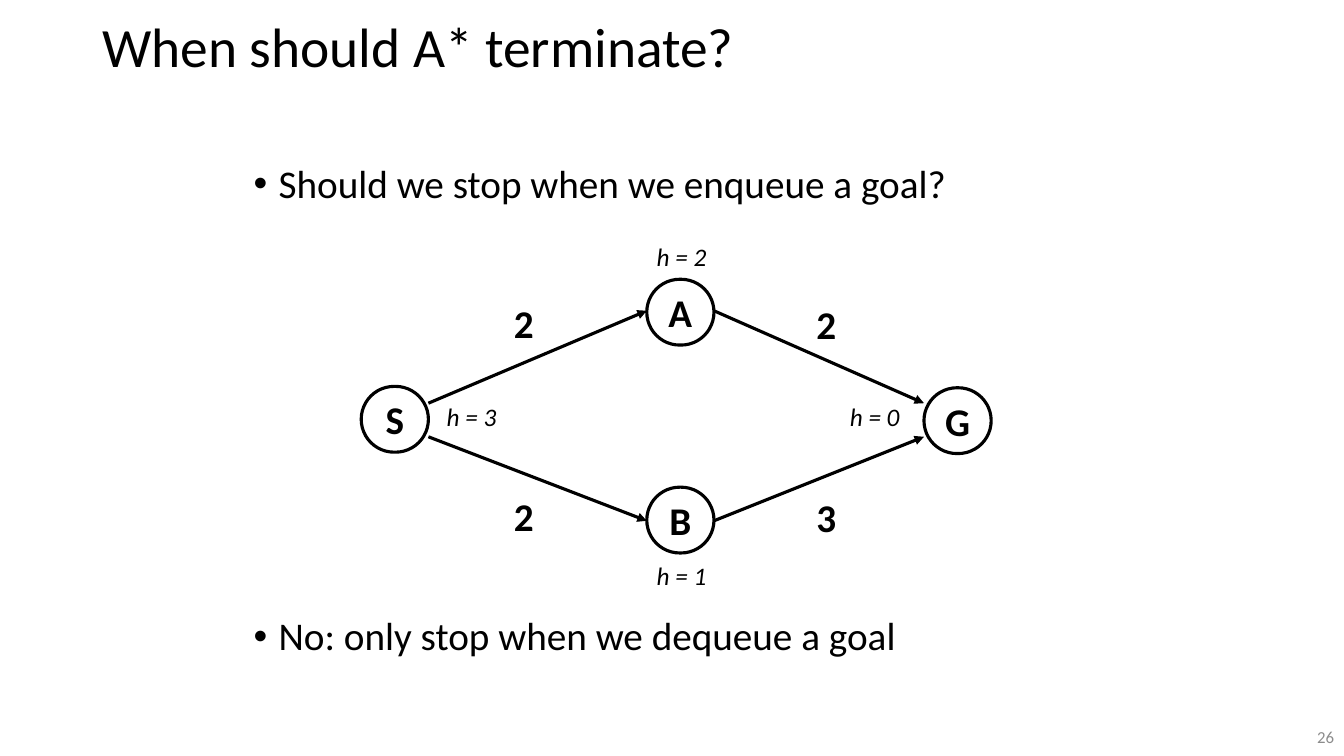
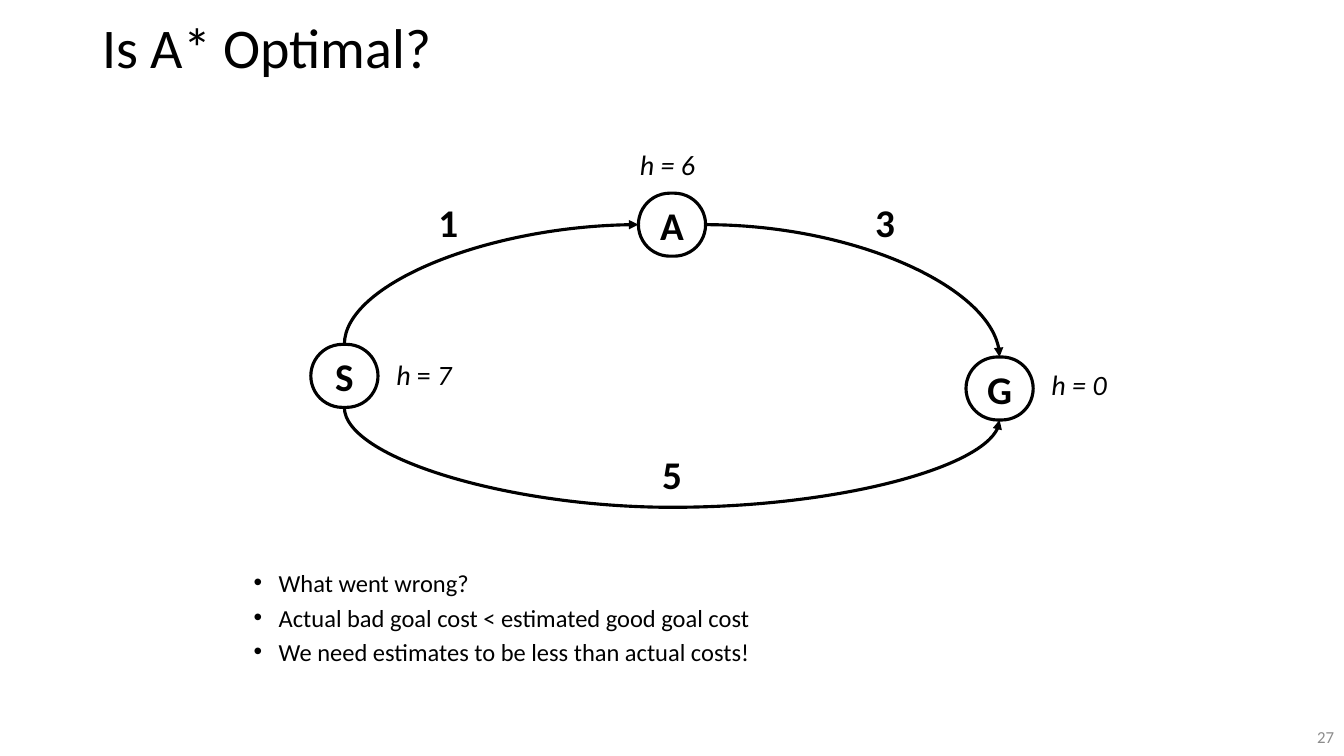
from lxml import etree
from pptx import Presentation
from pptx.dml.color import RGBColor
from pptx.enum.shapes import MSO_CONNECTOR, MSO_SHAPE
from pptx.enum.text import MSO_ANCHOR, PP_ALIGN
from pptx.oxml.ns import qn
from pptx.util import Pt

STRAIGHT, CURVE = MSO_CONNECTOR.STRAIGHT, MSO_CONNECTOR.CURVE
PILL = MSO_SHAPE.ROUNDED_RECTANGLE
TOP, MIDDLE = MSO_ANCHOR.TOP, MSO_ANCHOR.MIDDLE
LEFT, CENTER, RIGHT = PP_ALIGN.LEFT, PP_ALIGN.CENTER, PP_ALIGN.RIGHT

BLACK = RGBColor(0x00, 0x00, 0x00)
GRAY = RGBColor(0x8C, 0x8C, 0x8C)
FONT = "Calibri"
LINE_WIDTH = Pt(2.25)
NODE_WIDTH = 48
EQUALS = " = "

SLIDES = [
    {
        "title": "When should A* terminate?", "title_size": 39.6, "number": "26",
        "bullets": [
            ("Should we stop when we enqueue a goal?", 114),
            ("No: only stop when we dequeue a goal", 437),
        ],
        "bullet_size": 28, "bullet_spacing": 0.9,
        "node_height": 47,
        "nodes": [("S", 258, 276), ("B", 462, 348), ("A", 462, 199.5), ("G", 660, 277)],
        # begin, end, kind of curve, turn in degrees, bend
        "arrows": [
            ((306, 288), (462, 222), None, 0, None),
            ((510, 222), (660, 288), None, 0, None),
            ((306, 312), (462, 372), None, 0, None),
            ((510, 372), (660, 312), None, 0, None),
        ],
        "costs": [
            ("2", 360, 210, 36, LEFT), ("2", 576, 211, 36, LEFT),
            ("2", 360, 348, 36, LEFT), ("3", 576, 349, 36, LEFT),
        ],
        "estimate_size": 18,
        "estimates": [
            (["h = 3"], 312, 283), (["h = 2"], 462, 169),
            (["h = 1"], 462, 397), (["h = 0"], 600, 283),
        ],
    },
    {
        "title": "Is A* Optimal?", "title_size": 40, "number": "27",
        "bullets": [
            ("What went wrong?", 408),
            ("Actual bad goal cost < estimated good goal cost", None),
            ("We need estimates to be less than actual costs!", None),
        ],
        "bullet_size": 17.5, "bullet_spacing": 0.7,
        "node_height": 45,
        "nodes": [("A", 456, 138), ("G", 690, 255), ("S", 222, 246)],
        "arrows": [
            ((246, 246), (456, 160.5), "curvedConnector2", 90, None),
            ((504, 160.5), (714, 255), "curvedConnector2", 0, None),
            ((246, 291), (714, 300), "curvedConnector3", 270, 7.92),
        ],
        "costs": [
            ("1", 306, 138, 36, LEFT), ("3", 618, 138, 36, LEFT),
            ("5", 0, 318, 960, CENTER),
        ],
        "estimate_size": 20,
        "estimates": [
            (["h = 6"], 450, 102), (["h = 0"], 744, 259),
            (["h", EQUALS, "7"], 276, 252),
        ],
    },
]


def write(shape, texts, size, color=BLACK, bold=False, italic=False,
          align=LEFT, anchor=TOP, new_paragraph=False):
    """Add runs to the first paragraph of a shape, or to a new one."""
    frame = shape.text_frame
    frame.word_wrap = True
    frame.vertical_anchor = anchor
    paragraph = frame.add_paragraph() if new_paragraph else frame.paragraphs[0]
    paragraph.alignment = align
    for text in texts:
        run = paragraph.add_run()
        run.text = text
        run.font.name = FONT
        run.font.size = Pt(size)
        run.font.bold = bold
        run.font.italic = italic and text != EQUALS
        run.font.color.rgb = color
    return paragraph


def add_arrow(slide, begin, end, curve, turn, bend):
    """Draw an arrow; a turned curve is laid out unturned about its middle."""
    middle_x, middle_y = (begin[0] + end[0]) / 2, (begin[1] + end[1]) / 2
    x, y = begin[0] - middle_x, begin[1] - middle_y
    x, y = {0: (x, y), 90: (y, -x), 270: (-y, x)}[turn]
    connector = slide.shapes.add_connector(
        CURVE if curve else STRAIGHT,
        Pt(middle_x + x), Pt(middle_y + y), Pt(middle_x - x), Pt(middle_y - y))
    connector.line.color.rgb = BLACK
    connector.line.width = LINE_WIDTH
    properties = connector.element.spPr
    etree.SubElement(properties.find(qn("a:ln")), qn("a:tailEnd"), type="triangle")
    etree.SubElement(properties, qn("a:effectLst"))
    if turn:
        properties.find(qn("a:xfrm")).set("rot", str(turn * 60000))
    if curve:
        geometry = properties.find(qn("a:prstGeom"))
        geometry.set("prst", curve)
        if bend:
            etree.SubElement(geometry.find(qn("a:avLst")), qn("a:gd"),
                             name="adj1", fmla=f"val {round(bend * 100000)}")


presentation = Presentation()
presentation.slide_width = Pt(960)
presentation.slide_height = Pt(540)
blank_layout = presentation.slide_layouts[6]

for content in SLIDES:
    slide = presentation.slides.add_slide(blank_layout)
    shapes = slide.shapes

    title = shapes.add_textbox(Pt(66), Pt(9.5), Pt(828), Pt(52.5))
    paragraph = write(title, [content["title"]], content["title_size"], anchor=MIDDLE)
    paragraph.line_spacing = 0.9

    # A bullet with a top opens a new text box; the others follow in it.
    for text, top in content["bullets"]:
        if top is not None:
            bullet_box = shapes.add_textbox(Pt(174), Pt(top), Pt(754), Pt(74))
        paragraph = write(bullet_box, [text], content["bullet_size"],
                          new_paragraph=top is None)
        paragraph.line_spacing = content["bullet_spacing"]
        paragraph.space_before = Pt(10)
        bullet = paragraph._p.get_or_add_pPr()
        bullet.set("marL", str(Pt(18)))
        bullet.set("indent", str(-Pt(18)))
        etree.SubElement(bullet, qn("a:buFont"), typeface="Arial")
        etree.SubElement(bullet, qn("a:buChar"), char="•")

    for name, left, top in content["nodes"]:
        node = shapes.add_shape(PILL, Pt(left), Pt(top),
                                Pt(NODE_WIDTH), Pt(content["node_height"]))
        node.adjustments[0] = 0.5
        node.shadow.inherit = False
        node.fill.background()
        node.line.color.rgb = BLACK
        node.line.width = LINE_WIDTH
        write(node, [name], 28, bold=True, align=CENTER, anchor=MIDDLE)
        node.text_frame.word_wrap = False

    for arrow in content["arrows"]:
        add_arrow(slide, *arrow)

    for cost, left, top, width, align in content["costs"]:
        label = shapes.add_textbox(Pt(left), Pt(top), Pt(width), Pt(41))
        write(label, [cost], 28, bold=True, align=align)

    for texts, left, top in content["estimates"]:
        label = shapes.add_textbox(Pt(left), Pt(top), Pt(72), Pt(30))
        write(label, texts, content["estimate_size"], italic=True)

    number = shapes.add_textbox(Pt(917), Pt(513), Pt(43), Pt(27))
    write(number, [content["number"]], 12, color=GRAY, align=RIGHT, anchor=MIDDLE)

presentation.save("out.pptx")
